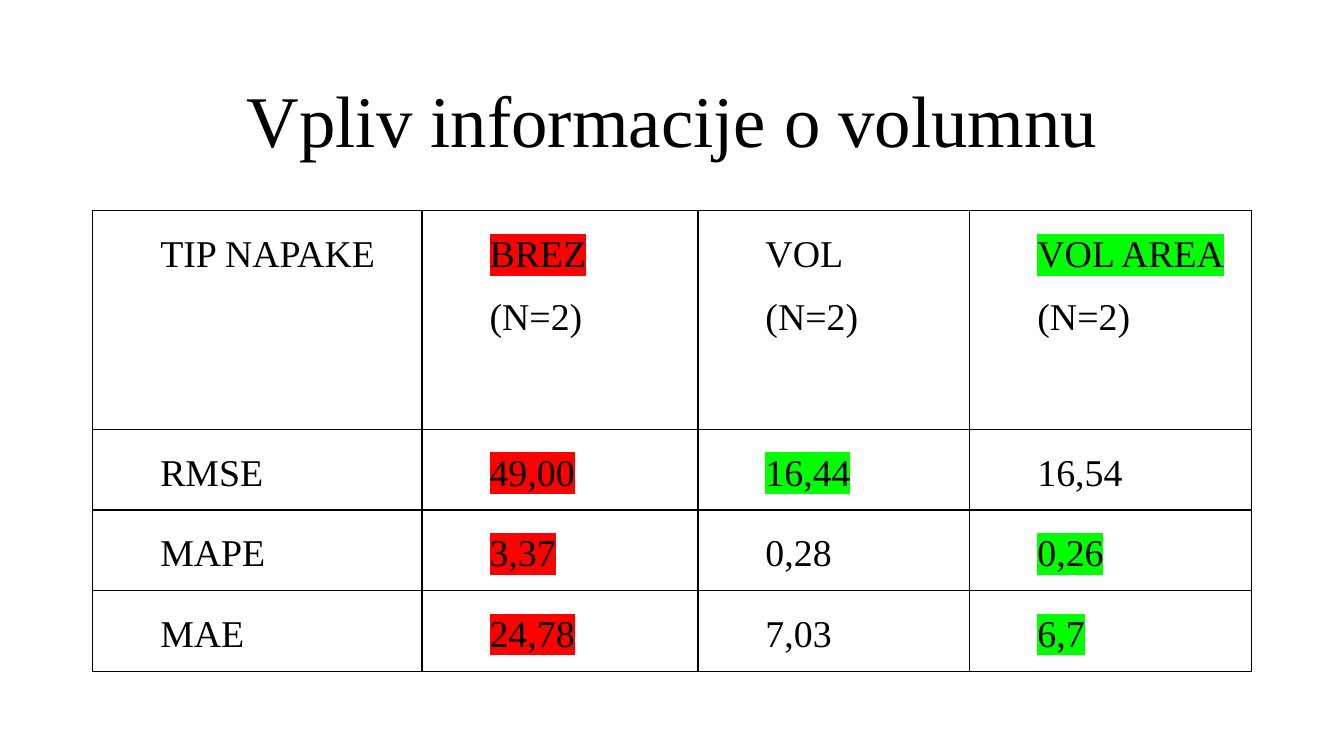
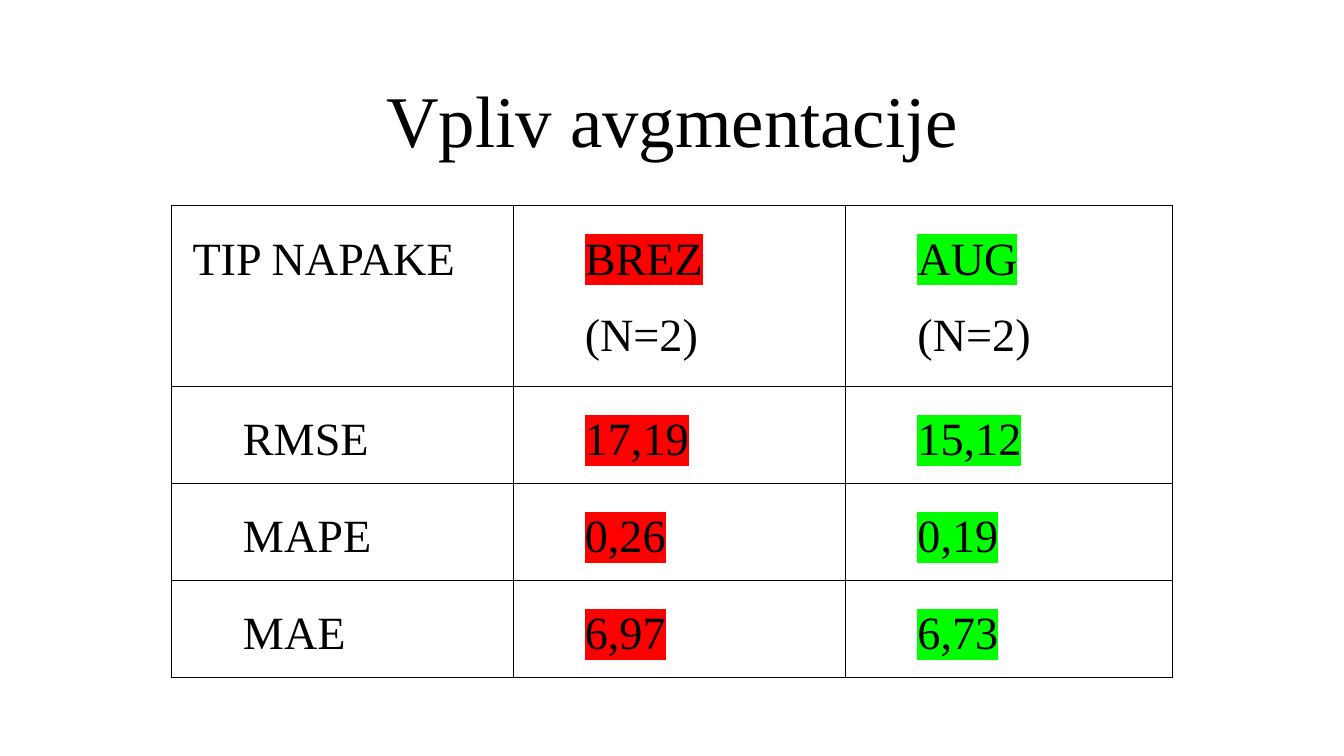
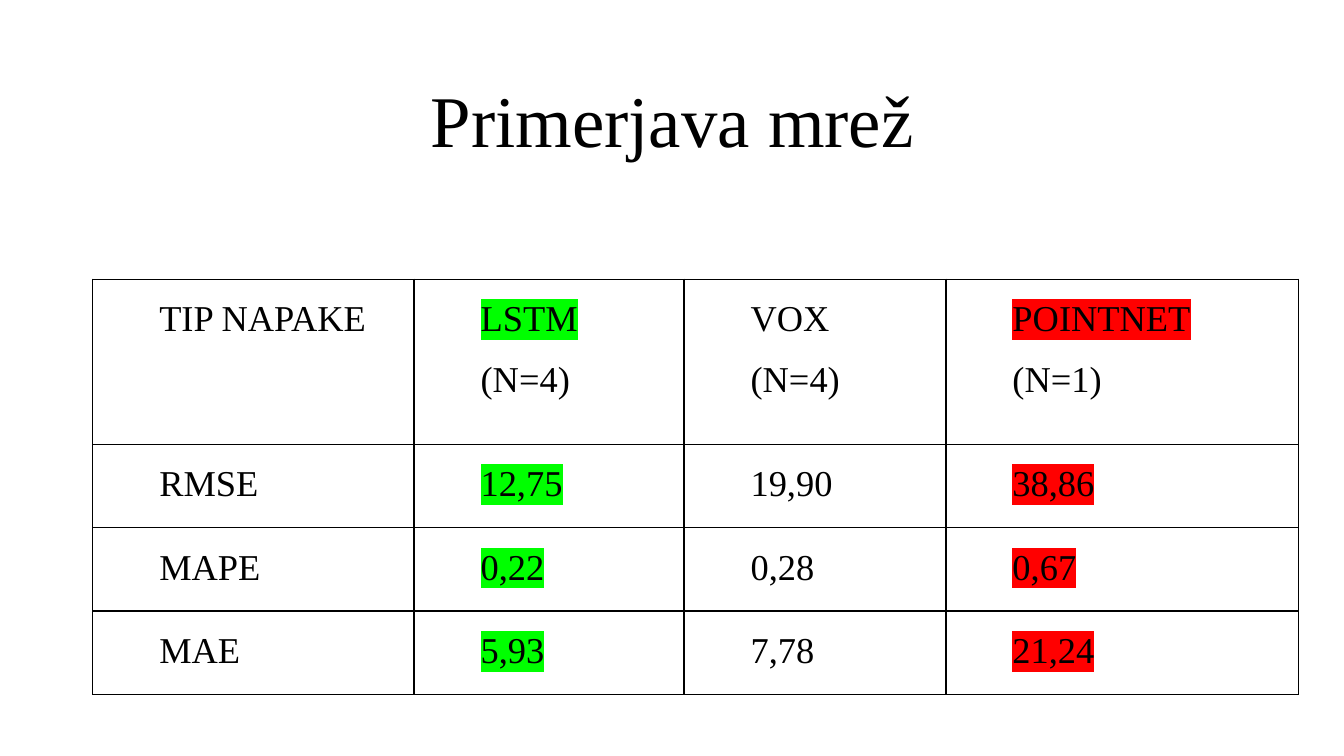
from collections import namedtuple

from lxml.etree import SubElement
from pptx import Presentation
from pptx.dml.color import RGBColor
from pptx.enum.text import MSO_ANCHOR, PP_ALIGN
from pptx.oxml.ns import qn
from pptx.util import Inches, Pt

COLORS = {"text": "000000", "border": "000000", "best": "00FF00", "worst": "FF0000"}
FONT = "Times New Roman"
BORDER_WIDTH = Pt(1)
INDENT = Inches(0.5)

Box = namedtuple("Box", "left top width height")
Entry = namedtuple("Entry", "text mark indented", defaults=(None, True))
Comparison = namedtuple("Comparison", "title box columns header_ratio size insets rows")

TITLE_BOX = Box(6.9, 8.13, 86.25, 16.53)

deck = Presentation()
deck.slide_width, deck.slide_height = Inches(13.33), Inches(7.5)


def best(text):
    return Entry(text, "best")


def worst(text):
    return Entry(text, "worst")


def place(box):
    return (
        round(deck.slide_width * box.left / 100),
        round(deck.slide_height * box.top / 100),
        round(deck.slide_width * box.width / 100),
        round(deck.slide_height * box.height / 100),
    )


def divide(length, weights):
    return [round(length * weight / sum(weights)) for weight in weights]


def style(paragraph, size, alignment, spacing):
    paragraph.alignment = alignment
    paragraph.line_spacing = spacing
    paragraph.font.name = FONT
    paragraph.font.size = Pt(size)
    paragraph.font.color.rgb = RGBColor.from_string(COLORS["text"])


def highlight(run, mark):
    backing = SubElement(run._r.get_or_add_rPr(), qn("a:highlight"))
    SubElement(backing, qn("a:srgbClr"), val=COLORS[mark])


def draw_borders(cell):
    properties = cell._tc.get_or_add_tcPr()
    for side in ("lnL", "lnR", "lnT", "lnB"):
        border = SubElement(properties, qn(f"a:{side}"), w=str(BORDER_WIDTH))
        fill = SubElement(border, qn("a:solidFill"))
        SubElement(fill, qn("a:srgbClr"), val=COLORS["border"])


def add_title(slide, box, text):
    frame = slide.shapes.add_textbox(*place(box)).text_frame
    frame.word_wrap = True
    frame.vertical_anchor = MSO_ANCHOR.MIDDLE
    heading = frame.paragraphs[0]
    heading.text = text
    style(heading, 52, PP_ALIGN.CENTER, 0.9)


def fill_cell(cell, entry, size, insets):
    side, top = insets
    cell.margin_left = cell.margin_right = Inches(side)
    cell.margin_top, cell.margin_bottom = Inches(top), 0
    draw_borders(cell)
    cell.fill.background()
    cell.text = entry.text
    for paragraph in cell.text_frame.paragraphs:
        style(paragraph, size, PP_ALIGN.JUSTIFY, 1.5)
        if entry.indented:
            paragraph._p.get_or_add_pPr().set("marL", str(INDENT))
    if entry.mark:
        highlight(cell.text_frame.paragraphs[0].runs[0], entry.mark)


def add_errors(slide, box, comparison):
    rows = comparison.rows
    left, top, width, height = place(box)
    errors = slide.shapes.add_table(
        len(rows), len(comparison.columns), left, top, width, height
    ).table
    errors.first_row = errors.horz_banding = False
    for column, share in zip(errors.columns, divide(width, comparison.columns)):
        column.width = share
    row_weights = [comparison.header_ratio] + [1] * (len(rows) - 1)
    for row, share in zip(errors.rows, divide(height, row_weights)):
        row.height = share
    for row, entries in zip(errors.rows, rows):
        for cell, entry in zip(row.cells, entries):
            if isinstance(entry, str):
                entry = Entry(entry)
            fill_cell(cell, entry, comparison.size, comparison.insets)


def add_comparison(comparison):
    slide = deck.slides.add_slide(deck.slide_layouts[6])
    add_title(slide, TITLE_BOX, comparison.title)
    add_errors(slide, comparison.box, comparison)


COMPARISONS = [
    Comparison(
        "Vpliv informacije o volumnu",
        Box(6.9, 27.87, 86.25, 60.93),
        (3.27, 2.74, 2.7, 2.8), 2.71, 27, (0.17, 0.02),
        [
            ("TIP NAPAKE", worst("BREZ\n(N=2)"), "VOL\n(N=2)", best("VOL AREA\n(N=2)")),
            ("RMSE", worst("49,00"), best("16,44"), "16,54"),
            ("MAPE", worst("3,37"), "0,28", best("0,26")),
            ("MAE", worst("24,78"), "7,03", best("6,7")),
        ],
    ),
    Comparison(
        "Vpliv avgmentacije",
        Box(12.75, 27.2, 74.5, 62.4),
        (3.39, 3.3, 3.24), 1.86, 33, (0.21, 0.03),
        [
            (Entry("TIP NAPAKE", indented=False), worst("BREZ\n(N=2)"), best("AUG\n(N=2)")),
            ("RMSE", worst("17,19"), best("15,12")),
            ("MAPE", worst("0,26"), best("0,19")),
            ("MAE", worst("6,97"), best("6,73")),
        ],
    ),
    Comparison(
        "Primerjava mrež",
        Box(6.9, 36.93, 89.72, 54.93),
        (3.19, 2.68, 2.6, 3.5), 1.98, 26, (0.16, 0),
        [
            ("TIP NAPAKE", best("LSTM\n(N=4)"), "VOX\n(N=4)", worst("POINTNET\n(N=1)")),
            ("RMSE", best("12,75"), "19,90", worst("38,86")),
            ("MAPE", best("0,22"), "0,28", worst("0,67")),
            ("MAE", best("5,93"), "7,78", worst("21,24")),
        ],
    ),
]

for comparison in COMPARISONS:
    add_comparison(comparison)

deck.save("out.pptx")
